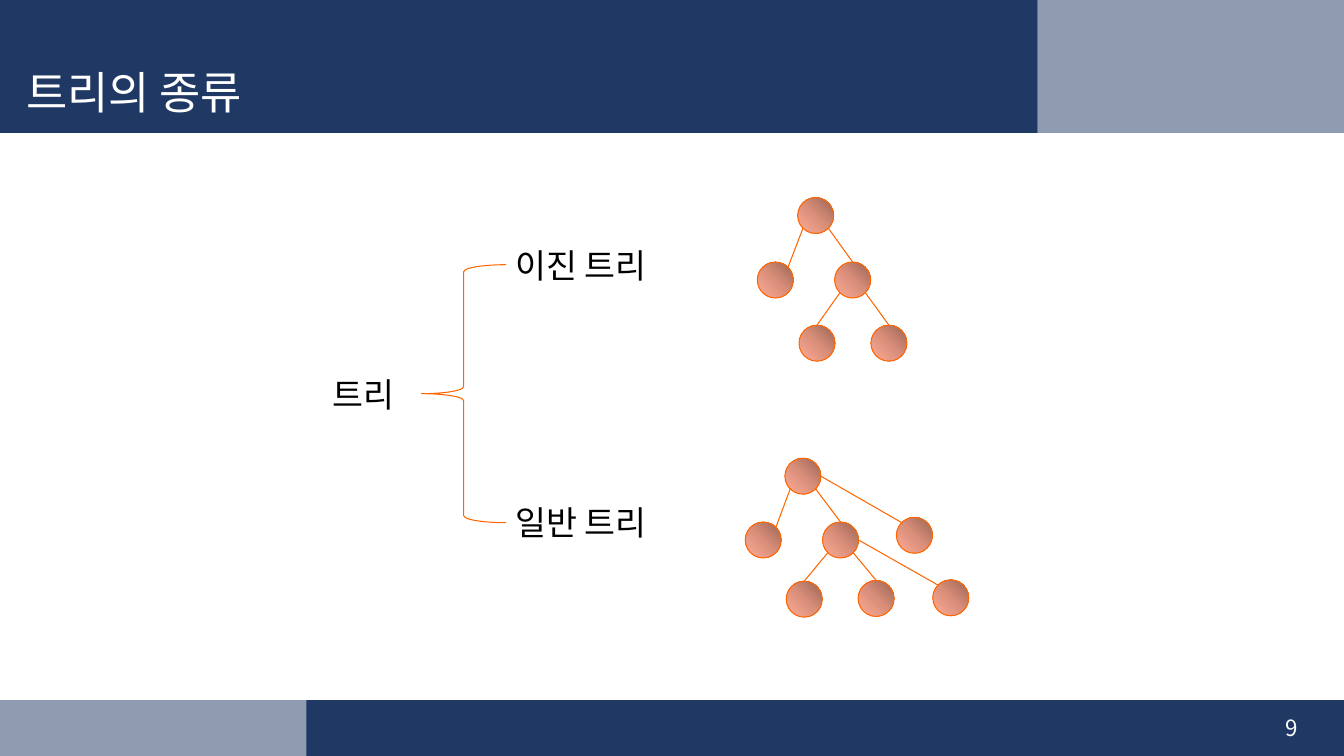
from dataclasses import dataclass
from typing import NamedTuple, Optional

from lxml.etree import SubElement
from pptx import Presentation
from pptx.dml.color import RGBColor
from pptx.enum.shapes import MSO_CONNECTOR, MSO_SHAPE
from pptx.enum.text import MSO_ANCHOR, MSO_AUTO_SIZE, PP_ALIGN
from pptx.oxml import parse_xml
from pptx.oxml.ns import nsdecls, qn
from pptx.shapes.autoshape import Shape
from pptx.slide import Slide
from pptx.util import Inches, Length, Pt

SLIDE_WIDTH, SLIDE_HEIGHT = Inches(13.33), Inches(7.5)
COLUMNS = 100  # square cells: the slide is 100 columns by 56.25 rows
NAVY = RGBColor(0x20, 0x38, 0x64)
ORANGE = RGBColor(0xFF, 0x66, 0x00)
WHITE = RGBColor(0xFF, 0xFF, 0xFF)
BLACK = RGBColor(0, 0, 0)
NODE_SHADES = (
    (0, RGBColor(0x99, 0x65, 0x56)),
    (50, RGBColor(0xDA, 0x8F, 0x7B)),
    (100, RGBColor(0xFF, 0xAC, 0x95)),
)
KOREAN, JAPANESE = "Noto Sans CJK KR", "Noto Sans CJK JP"
LINE_WEIGHT = Pt(0.75)
NODE_SIZE = 2.68


class Box(NamedTuple):
    left: float
    top: float
    width: float
    height: float


class Rim(NamedTuple):
    """A point on a node's outline, as shares of its width and height."""
    across: float
    down: float


TOP, RIGHT = Rim(0.5, 0), Rim(1, 0.5)
TOP_LEFT, TOP_RIGHT = Rim(0.15, 0.15), Rim(0.85, 0.15)
BOTTOM_LEFT, BOTTOM_RIGHT = Rim(0.15, 0.85), Rim(0.85, 0.85)


@dataclass
class Node:
    """A tree node; its edge runs from the parent's `leaves` to its own `enters`."""
    left: float
    top: float
    leaves: Optional[Rim] = None
    enters: Rim = TOP
    children: tuple["Node", ...] = ()


@dataclass
class Bar:
    box: Box
    opacity: int = 100


@dataclass
class Label:
    box: Box
    runs: tuple[tuple[str, str], ...]
    size: int = 24
    color: RGBColor = BLACK
    align: PP_ALIGN = PP_ALIGN.LEFT
    anchor: MSO_ANCHOR = MSO_ANCHOR.TOP
    wraps: bool = False
    line_spacing: float = 1.0


BARS = (
    Bar(Box(22.8, 52.1, 77.2, 4.15)),
    Bar(Box(0, 52.1, 77.2, 4.15), 50),
    Bar(Box(0, 0, 77.2, 9.9)),
    Bar(Box(77.2, 0, 22.8, 9.9), 50),
)
BRACE = Box(31.35, 19.7, 6.3, 19.2)
LABELS = (
    Label(Box(74.8, 52.65, 22.5, 3), (("9", KOREAN),), 16, WHITE,
          PP_ALIGN.RIGHT, MSO_ANCHOR.MIDDLE, True),
    Label(Box(1.2, 4.3, 76, 5.55), (("트리의 종류", KOREAN),), 32, WHITE,
          anchor=MSO_ANCHOR.MIDDLE, wraps=True, line_spacing=0.9),
    Label(Box(24, 27.45, 7.4, 3.8), (("트리", KOREAN),)),
    Label(Box(37.6, 17.85, 13.3, 3.8), (("이진", JAPANESE), (" 트리", KOREAN))),
    Label(Box(37.6, 37, 13.3, 3.8), (("일반 트리", KOREAN),)),
)
BINARY_TREE = Node(59.35, 14.7, children=(
    Node(56.35, 19.5, BOTTOM_LEFT, TOP_RIGHT),
    Node(62.1, 19.5, BOTTOM_RIGHT, children=(
        Node(59.45, 24.2, BOTTOM_LEFT),
        Node(64.8, 24.2, BOTTOM_RIGHT),
    )),
))
GENERAL_TREE = Node(58.4, 34.1, children=(
    Node(55.45, 38.85, BOTTOM_LEFT, TOP_RIGHT),
    Node(61.2, 38.85, BOTTOM_RIGHT, children=(
        Node(58.5, 43.25, BOTTOM_LEFT),
        Node(63.85, 43.2, BOTTOM_RIGHT),
        Node(69.4, 43.15, RIGHT, TOP_LEFT),
    )),
    Node(66.7, 38.5, RIGHT, TOP_LEFT),
))


def cells(count: float) -> Length:
    return Length(round(SLIDE_WIDTH * count / COLUMNS))


def add_preset(slide: Slide, preset: MSO_SHAPE, box: Box) -> Shape:
    shape = slide.shapes.add_shape(preset, *map(cells, box))
    shape.shadow.inherit = False
    return shape


def outline(drawn) -> None:
    drawn.line.color.rgb = ORANGE
    drawn.line.width = LINE_WEIGHT


def draw_bar(slide: Slide, bar: Bar) -> None:
    band = add_preset(slide, MSO_SHAPE.RECTANGLE, bar.box)
    band.fill.solid()
    band.fill.fore_color.rgb = NAVY
    band.line.fill.background()
    if bar.opacity < 100:
        color = band.fill._xPr.find(f"{qn('a:solidFill')}/{qn('a:srgbClr')}")
        SubElement(color, qn("a:alpha"), val=str(bar.opacity * 1000))


def draw_brace(slide: Slide, box: Box) -> None:
    brace = add_preset(slide, MSO_SHAPE.LEFT_BRACE, box)
    brace.adjustments[0] = 0.083
    brace.fill.background()
    outline(brace)


def draw_label(slide: Slide, label: Label) -> None:
    frame = slide.shapes.add_textbox(*map(cells, label.box)).text_frame
    frame.word_wrap = label.wraps
    frame.auto_size = MSO_AUTO_SIZE.NONE if label.wraps else MSO_AUTO_SIZE.SHAPE_TO_FIT_TEXT
    frame.vertical_anchor = label.anchor
    paragraph = frame.paragraphs[0]
    paragraph.alignment = label.align
    paragraph.line_spacing = label.line_spacing
    for words, typeface in label.runs:
        run = paragraph.add_run()
        run.text = words
        run.font.size = Pt(label.size)
        run.font.color.rgb = label.color
        run.font.name = typeface
        SubElement(run.font._element, qn("a:ea"), typeface=typeface)


def shade(circle: Shape) -> None:
    """Fill with a radial gradient that is darkest at the top right."""
    stops = "".join(
        f'<a:gs pos="{share * 1000}"><a:srgbClr val="{color}"/></a:gs>'
        for share, color in NODE_SHADES
    )
    gradient = parse_xml(
        f'<a:gradFill {nsdecls("a")} rotWithShape="1"><a:gsLst>{stops}</a:gsLst>'
        '<a:path path="circle"><a:fillToRect l="100000" b="100000"/></a:path></a:gradFill>'
    )
    circle._element.spPr.find(qn("a:prstGeom")).addnext(gradient)


def draw_edge(slide: Slide, parent: Node, child: Node) -> None:
    ends = [
        cells(start + NODE_SIZE * share)
        for node, rim in ((parent, child.leaves), (child, child.enters))
        for start, share in ((node.left, rim.across), (node.top, rim.down))
    ]
    edge = slide.shapes.add_connector(MSO_CONNECTOR.STRAIGHT, *ends)
    outline(edge)
    SubElement(edge._element.spPr, qn("a:effectLst"))


def draw_tree(slide: Slide, node: Node) -> None:
    circle = add_preset(slide, MSO_SHAPE.OVAL, Box(node.left, node.top, NODE_SIZE, NODE_SIZE))
    shade(circle)
    outline(circle)
    for child in node.children:
        draw_tree(slide, child)
        draw_edge(slide, node, child)


def main() -> None:
    deck = Presentation()
    deck.slide_width, deck.slide_height = SLIDE_WIDTH, SLIDE_HEIGHT
    slide = deck.slides.add_slide(deck.slide_layouts[6])
    for bar in BARS:
        draw_bar(slide, bar)
    draw_brace(slide, BRACE)
    for label in LABELS:
        draw_label(slide, label)
    for root in (BINARY_TREE, GENERAL_TREE):
        draw_tree(slide, root)
    deck.save("out.pptx")


if __name__ == "__main__":
    main()
